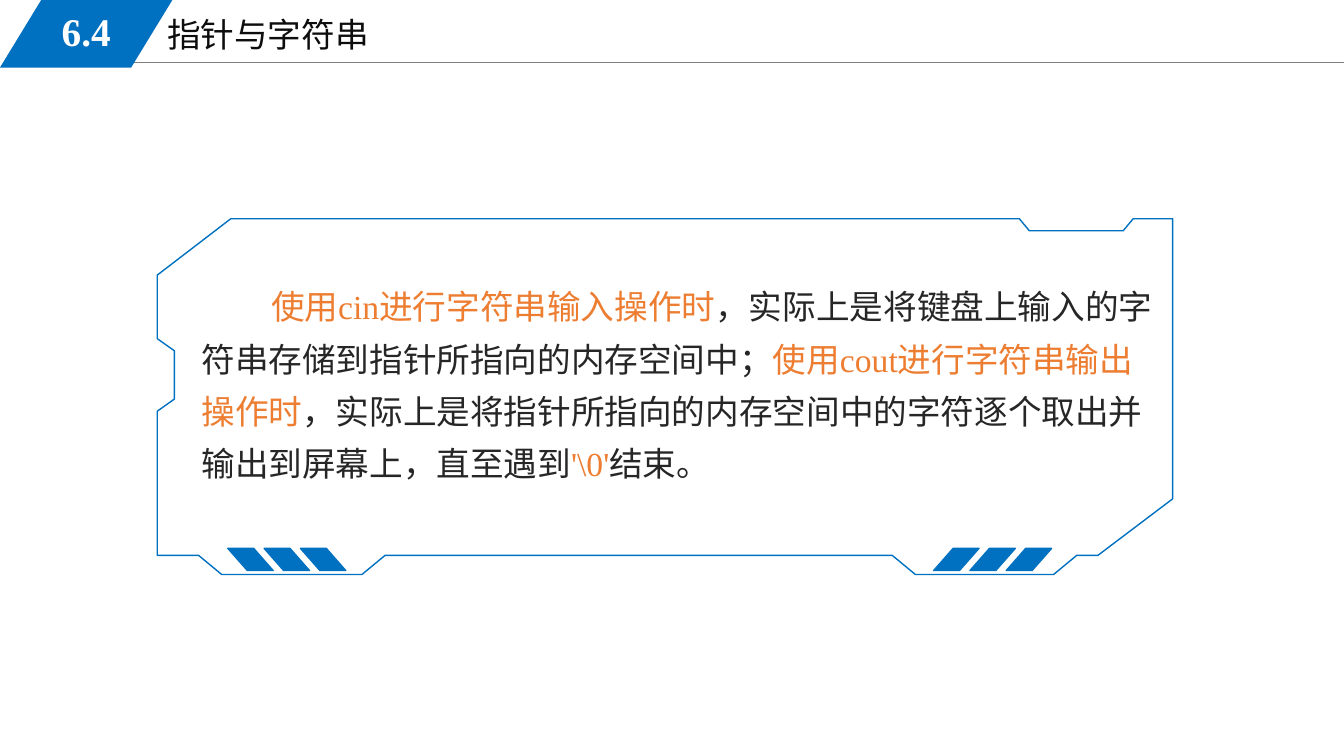
import pptx
import pptx.dml.color
import pptx.enum.shapes
import pptx.enum.text
import pptx.oxml.ns
import pptx.util
from lxml import etree

Inches = pptx.util.Inches
Pt = pptx.util.Pt
RGBColor = pptx.dml.color.RGBColor
PP_ALIGN = pptx.enum.text.PP_ALIGN
MSO_ANCHOR = pptx.enum.text.MSO_ANCHOR

BLUE = RGBColor(0x00, 0x70, 0xC0)
ORANGE = RGBColor(0xED, 0x7D, 0x31)
DARK = RGBColor(0x26, 0x26, 0x26)
TITLE_BLACK = RGBColor(0x0D, 0x0D, 0x0D)
GRAY = RGBColor(0x80, 0x80, 0x80)
WHITE = RGBColor(0xFF, 0xFF, 0xFF)
SERIF = "Times New Roman"
CJK = "Noto Sans CJK SC"

FRAME_OUTLINE = [
    (9.08, 5.7), (10.45, 5.7), (10.68, 5.51), (10.89, 5.51), (11.63, 4.95),
    (11.63, 2.17), (11.24, 2.17), (11.14, 2.29), (10.21, 2.29), (10.11, 2.17),
    (2.29, 2.17), (1.56, 2.73), (1.56, 3.36), (1.73, 3.48), (1.73, 3.96),
    (1.56, 4.08), (1.56, 5.51), (1.97, 5.51), (2.2, 5.7), (3.59, 5.7),
    (3.82, 5.51), (8.85, 5.51),
]
EXPLANATION = [
    ("使用", CJK, ORANGE),
    ("cin", SERIF, ORANGE),
    ("进行字符串输入操作时", CJK, ORANGE),
    ("，实际上是将键盘上输入的字符串存储到指针所指向的内存空间中；", CJK, DARK),
    ("使用", CJK, ORANGE),
    ("cout", SERIF, ORANGE),
    ("进行字符串输出操作时", CJK, ORANGE),
    ("，实际上是将指针所指向的内存空间中的字符逐个取出并输出到屏幕上，直至遇到", CJK, DARK),
    ("'\\0'", SERIF, ORANGE),
    ("结束。", CJK, DARK),
]


def add_run(paragraph, text, font=SERIF, color=DARK, size=24, bold=False):
    """Append formatted text to a paragraph."""
    run = paragraph.add_run()
    run.text = text
    run.font.size = Pt(size)
    run.font.bold = bold
    run.font.name = font
    run.font.color.rgb = color
    east_asian = etree.SubElement(run.font._element, pptx.oxml.ns.qn("a:ea"))
    east_asian.set("typeface", CJK)


def add_text_area(slide, left, top, width, height, anchor=MSO_ANCHOR.TOP):
    """Add a wrapping text box and return its first paragraph."""
    area = slide.shapes.add_textbox(Inches(left), Inches(top), Inches(width), Inches(height))
    area.text_frame.word_wrap = True
    area.text_frame.vertical_anchor = anchor
    return area.text_frame.paragraphs[0]


def add_parallelogram(slide, left, top, width, height, slant, outlined=True, flipped=False):
    """Add a solid blue parallelogram, mirrored on request."""
    stripe = slide.shapes.add_shape(
        pptx.enum.shapes.MSO_SHAPE.PARALLELOGRAM,
        Inches(left), Inches(top), Inches(width), Inches(height))
    stripe.adjustments[0] = slant
    stripe.shadow.inherit = False
    stripe.fill.solid()
    stripe.fill.fore_color.rgb = BLUE
    if outlined:
        stripe.line.color.rgb = BLUE
        stripe.line.width = Pt(1)
    else:
        stripe.line.fill.background()
    if flipped:
        stripe.element.spPr.xfrm.set("flipH", "1")


def add_header(slide, number, title):
    """Add the rule, the section title and the number tab."""
    rule = slide.shapes.add_connector(
        pptx.enum.shapes.MSO_CONNECTOR.STRAIGHT,
        Inches(1.13), Inches(0.62), Inches(13.33), Inches(0.62))
    rule.line.color.rgb = GRAY
    rule.line.width = Pt(0.75)
    etree.SubElement(rule.element.spPr, pptx.oxml.ns.qn("a:effectLst"))
    add_run(add_text_area(slide, 1.56, 0.09, 5.67, 0.51), title, color=TITLE_BLACK)
    add_parallelogram(slide, 0, 0, 1.71, 0.67, 0.61, outlined=False)
    section = add_text_area(slide, 0.25, 0.02, 1.21, 0.58, MSO_ANCHOR.MIDDLE)
    section.alignment = PP_ALIGN.CENTER
    add_run(section, number, color=WHITE, size=28, bold=True)


def add_explanation(slide):
    """Add the indented paragraph with highlighted phrases."""
    explanation = add_text_area(slide, 1.9, 2.67, 9.67, 2.15)
    explanation.line_spacing = 1.3
    explanation._p.get_or_add_pPr().set("indent", str(Inches(0.69)))
    for text, font, color in EXPLANATION:
        add_run(explanation, text, font=font, color=color)


def add_frame(slide):
    """Add the notched frame and its two groups of stripes."""
    corners = [(Inches(x), Inches(y)) for x, y in FRAME_OUTLINE]
    builder = slide.shapes.build_freeform(*corners[0])
    builder.add_line_segments(corners[1:], close=True)
    frame = builder.convert_to_shape()
    frame.shadow.inherit = False
    frame.fill.background()
    frame.line.color.rgb = BLUE
    frame.line.width = Pt(1)
    for first_left, flipped in ((9.26, False), (2.26, True)):
        for index in range(3):
            add_parallelogram(slide, first_left + 0.36 * index, 5.44, 0.45, 0.22,
                              0.88, flipped=flipped)


def main():
    """Build and save the slide."""
    presentation = pptx.Presentation()
    presentation.slide_width = Inches(13.33)
    presentation.slide_height = Inches(7.5)
    slide = presentation.slides.add_slide(presentation.slide_layouts[6])
    add_header(slide, "6.4", "指针与字符串")
    add_explanation(slide)
    add_frame(slide)
    presentation.save("out.pptx")


if __name__ == "__main__":
    main()
